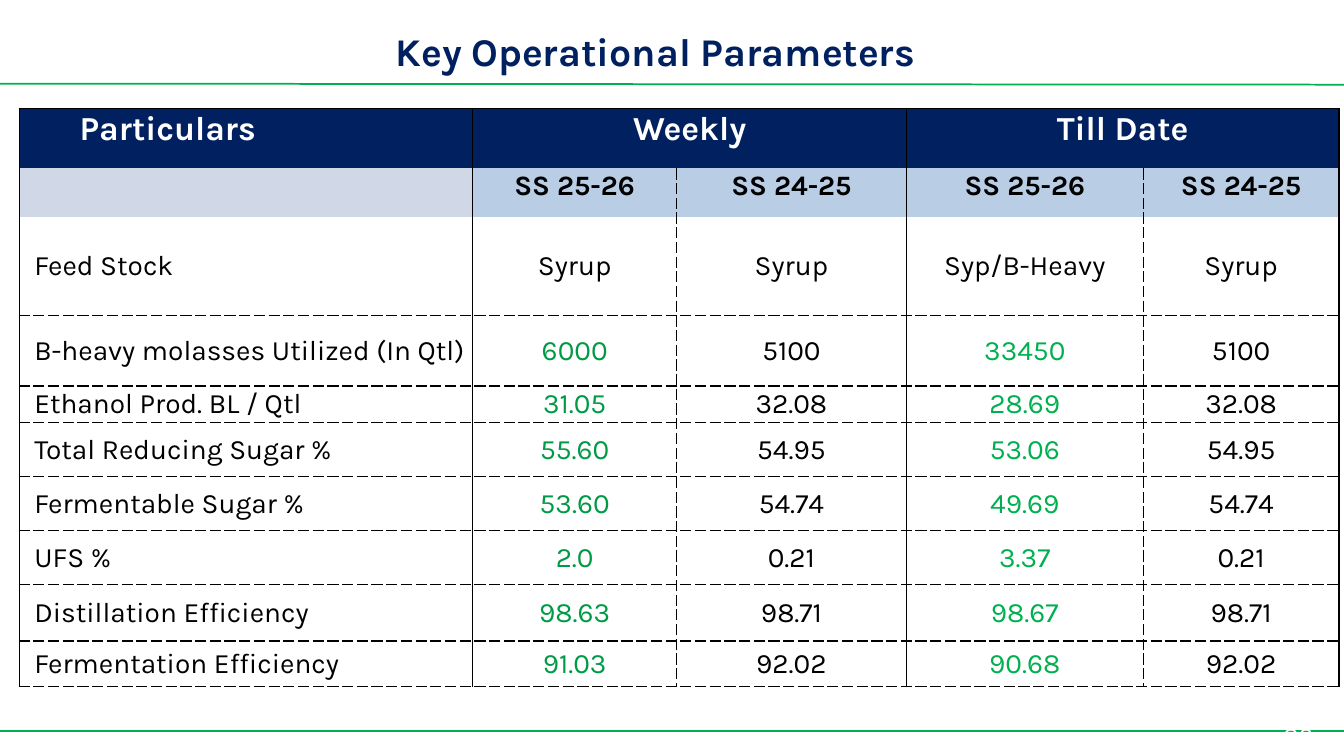
from pptx import Presentation
from pptx.dml.color import RGBColor
from pptx.enum import shapes, text
from pptx.oxml import parse_xml
from pptx.oxml.ns import nsdecls
from pptx.util import Inches, Pt

FONT = "Karla"
COLORS = {
    "navy": "002060", "white": "FFFFFF", "black": "000000", "rule": "00B050",
    "weekly": "009A46", "till_date": "00B050", "blank": "D0D8E8", "season": "B9CDE5",
}
TITLE = "Key Operational Parameters"
PAGE = "83"
ROWS = [
    ("Particulars", "Weekly", "", "Till Date", ""),
    ("", "SS 25-26", "SS 24-25", "SS 25-26", "SS 24-25"),
    ("Feed Stock", "Syrup", "Syrup", "Syp/B-Heavy", "Syrup"),
    ("B-heavy molasses Utilized (In Qtl)", "6000", "5100", "33450", "5100"),
    ("Ethanol Prod. BL / Qtl", "31.05", "32.08", "28.69", "32.08"),
    ("Total Reducing Sugar %", "55.60", "54.95", "53.06", "54.95"),
    ("Fermentable Sugar %", "53.60", "54.74", "49.69", "54.74"),
    ("UFS %", "2.0", "0.21", "3.37", "0.21"),
    ("Distillation Efficiency", "98.63", "98.71", "98.67", "98.71"),
    ("Fermentation Efficiency", "91.03", "92.02", "90.68", "92.02"),
]
COLUMN_WIDTHS = [4.5, 2.02, 2.28, 2.35, 1.94]
ROW_HEIGHTS = [0.59, 0.48, 0.98, 0.7, 0.36, 0.54, 0.53, 0.54, 0.56, 0.45]
RULES = [(0.83, 0.84), (7.25, 7.25)]
GROUP_STARTS = (1, 3)


def color(name):
    return RGBColor.from_string(COLORS[name])


def style(paragraph, size, name, bold=False, align=text.PP_ALIGN.CENTER):
    paragraph.alignment = align
    font = paragraph.font
    font.name, font.size, font.bold = FONT, Pt(size), bold
    font.color.rgb = color(name)


def add_label(slide, words, box, *look):
    frame = slide.shapes.add_textbox(*map(Inches, box)).text_frame
    frame.word_wrap = True
    frame.vertical_anchor = text.MSO_ANCHOR.MIDDLE
    frame.text = words
    style(frame.paragraphs[0], *look)


def add_rule(slide, start, end):
    rule = slide.shapes.add_connector(
        shapes.MSO_CONNECTOR.STRAIGHT, 0, Inches(start), Inches(13.33), Inches(end))
    rule.line.color.rgb = color("rule")
    rule.line.width = Pt(1.25)
    rule._element.spPr.append(parse_xml(f"<a:effectLst {nsdecls('a')}/>"))


def cell_borders(row, column):
    def side(edge):
        return "sysDash" if row and edge in (2, 4) else "solid"

    top = "solid" if row == 0 else "sysDash" if row > 2 else None
    bottom = "sysDash" if row > 1 else None
    return {"L": side(column), "R": side(column + 1), "T": top, "B": bottom}


def draw_borders(cell, borders):
    properties = cell._tc.get_or_add_tcPr()
    for edge, dash in borders.items():
        paint = "<a:noFill/>"
        if dash:
            paint = (f'<a:solidFill><a:srgbClr val="{COLORS["black"]}"/></a:solidFill>'
                     f'<a:prstDash val="{dash}"/>')
        properties.append(parse_xml(
            f'<a:ln{edge} {nsdecls("a")} w="12700">{paint}</a:ln{edge}>'))


def cell_look(row, column):
    if row == 0:
        return "navy", "white", 24
    if row == 1:
        return ("season" if column else "blank"), "black", 20
    ink = {1: "weekly", 3: "till_date"}.get(column, "black") if row > 2 else "black"
    return "white", ink, 20


def fill_cell(cell, row, column, words):
    if not cell.is_spanned:
        draw_borders(cell, cell_borders(row, column))
    fill, ink, size = cell_look(row, column)
    cell.fill.solid()
    cell.fill.fore_color.rgb = color(fill)
    cell.vertical_anchor = text.MSO_ANCHOR.MIDDLE
    if row > 1:
        cell.margin_left = Inches(0.01 if column else 0.15)
        cell.margin_right = cell.margin_top = Inches(0.01)
        cell.margin_bottom = 0
    elif column == 0:
        cell.margin_left = Inches(0.6)
    if not words:
        return
    cell.text = words
    paragraph = cell.text_frame.paragraphs[0]
    align = text.PP_ALIGN.CENTER if column else text.PP_ALIGN.LEFT
    style(paragraph, size, ink, row < 2, align)
    if row < 2:
        paragraph.line_spacing = Pt(15)


def add_parameters(slide):
    table = slide.shapes.add_table(
        len(ROWS), len(COLUMN_WIDTHS), Inches(0.19), Inches(1.08),
        Inches(sum(COLUMN_WIDTHS)), Inches(sum(ROW_HEIGHTS))).table
    table.first_row = table.horz_banding = False
    for column, width in zip(table.columns, COLUMN_WIDTHS):
        column.width = Inches(width)
    for row, height in zip(table.rows, ROW_HEIGHTS):
        row.height = Inches(height)
    for start in GROUP_STARTS:
        table.cell(0, start).merge(table.cell(0, start + 1))
    for r, values in enumerate(ROWS):
        for c, words in enumerate(values):
            fill_cell(table.cell(r, c), r, c, words)


def main():
    deck = Presentation()
    deck.slide_width, deck.slide_height = Inches(13.33), Inches(7.5)
    slide = deck.slides.add_slide(deck.slide_layouts[6])
    for start, end in RULES:
        add_rule(slide, start, end)
    add_label(slide, PAGE, (12.63, 7.1, 0.67, 0.4), 18, "white", False, text.PP_ALIGN.LEFT)
    add_label(slide, TITLE, (3.75, 0.23, 5.5, 0.54), 28, "navy", True)
    add_parameters(slide)
    deck.save("out.pptx")


if __name__ == "__main__":
    main()
